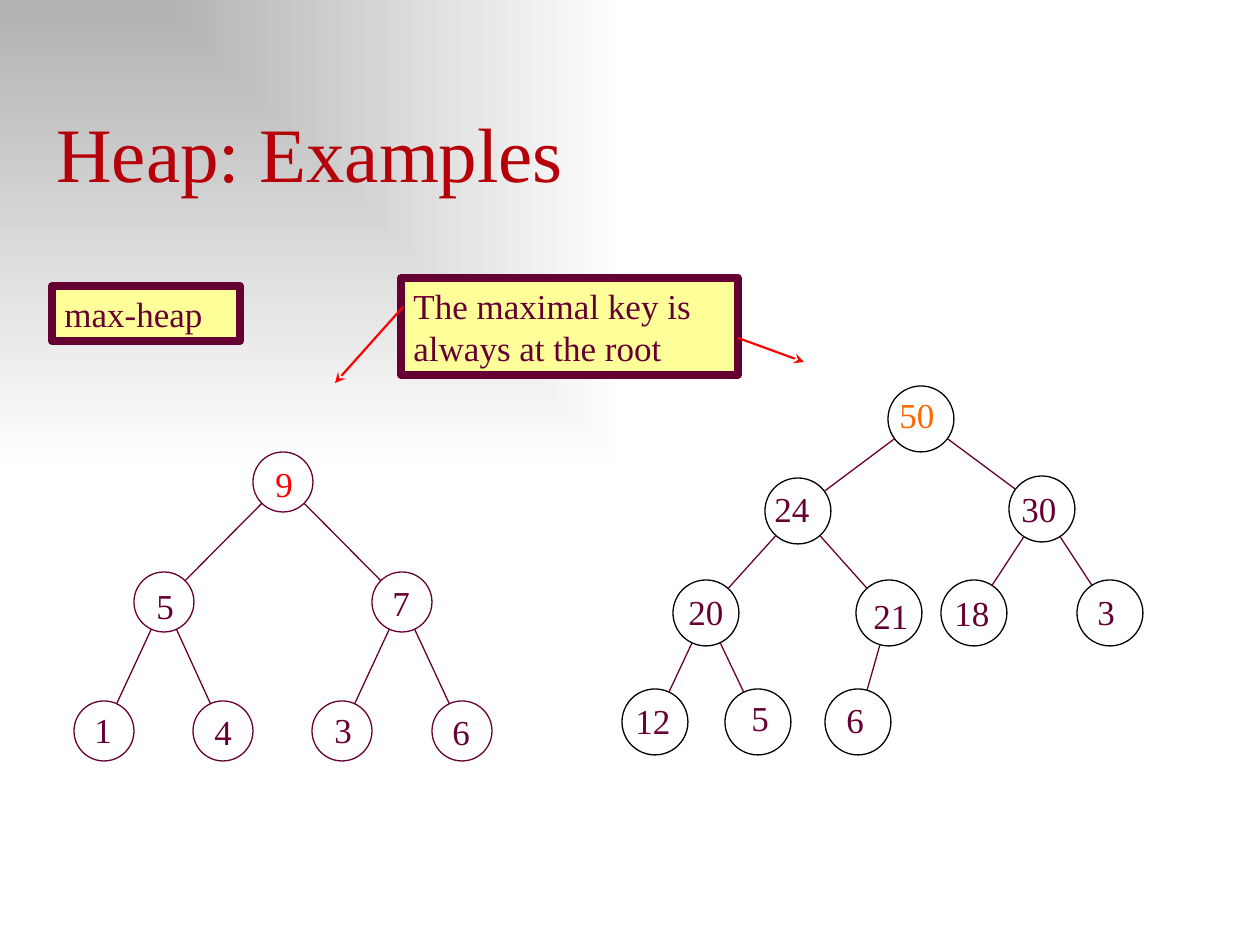
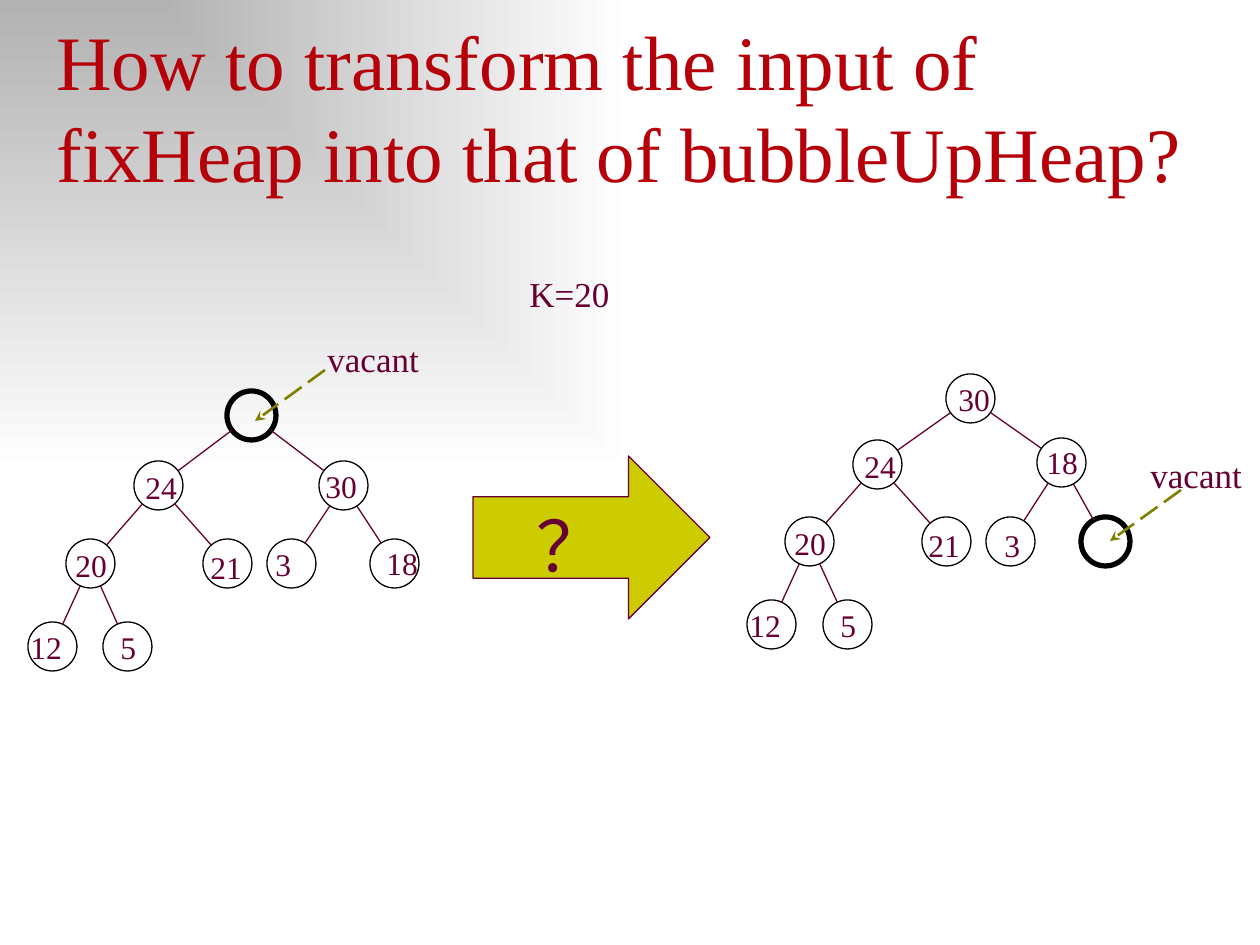
from dataclasses import dataclass
from math import hypot

from lxml.etree import SubElement
from pptx import Presentation
from pptx.dml.color import RGBColor
from pptx.enum.dml import MSO_LINE
from pptx.enum.shapes import MSO_CONNECTOR, MSO_SHAPE
from pptx.enum.text import MSO_ANCHOR, PP_ALIGN
from pptx.oxml import parse_xml
from pptx.oxml.ns import nsdecls, qn
from pptx.util import Emu, Pt


@dataclass(frozen=True)
class Theme:
    font: str = "Times New Roman"
    title: str = "B60009"
    text: str = "660033"
    black: str = "000000"
    red: str = "FF0000"
    orange: str = "FF6600"
    note: str = "FFFF99"
    olive: str = "808000"
    block_arrow: str = "CCCC00"
    shade: str = "B2B2B2"
    white: str = "FFFFFF"
    title_size: int = 44
    symbol_size: int = 40
    body_size: int = 20
    small_size: int = 18
    thin: float = 0.75
    thick: float = 3
    frame: float = 4.5


THEME = Theme()
EMU_PER_PX = 914400 / 126
TITLE_LEFT, TITLE_WIDTH, TITLE_BOTTOM = 44, 1191, 204

# Heaps list their nodes level by level, so node i hangs under node (i - 1) // 2.
# Node: key (None when vacant), circle left and top, label shift right and down.
SMALL_HEAP = dict(
    diameter=60, label_box=(69, 54), size=THEME.body_size,
    outline=THEME.text, root_color=THEME.red,
    nodes=[
        ("9", 253, 452, 10, 4),
        ("5", 134, 572, 10, 6), ("7", 372, 572, 8, 3),
        ("1", 74, 701, 8, 1), ("4", 193, 701, 9, 3),
        ("3", 312, 701, 10, 1), ("6", 432, 701, 8, 3),
    ])
LARGE_HEAP = dict(
    diameter=66, label_box=(80, 60), size=THEME.body_size,
    outline=THEME.black, root_color=THEME.orange,
    nodes=[
        ("50", 888, 386, -1, 1),
        ("24", 765, 478, -3, 3), ("30", 1009, 476, 0, 5),
        ("20", 673, 580, 3, 4), ("21", 856, 580, 5, 8),
        ("18", 941, 580, 1, 5), ("3", 1077, 580, 8, 4),
        ("12", 622, 689, 1, 4), ("5", 725, 689, 14, 1), ("6", 825, 689, 9, 3),
    ])
TRANSFORM_STYLE = dict(
    diameter=49, label_box=(83, 45), size=THEME.small_size,
    outline=THEME.black, root_color=THEME.text)
VACANT_ROOT_HEAP = dict(TRANSFORM_STYLE, nodes=[
    (None, 227, 391, 0, 0),
    ("24", 134, 461, -1, 1), ("30", 319, 461, -6, 0),
    ("20", 66, 539, -3, 1), ("21", 203, 539, -5, 3),
    ("3", 267, 539, -4, 0), ("18", 370, 539, 4, -1),
    ("12", 28, 622, -10, 0), ("5", 103, 622, 5, 0),
])
VACANT_LEAF_HEAP = dict(TRANSFORM_STYLE, nodes=[
    ("30", 946, 374, 0, 0),
    ("24", 853, 440, -1, 1), ("18", 1037, 438, -3, -1),
    ("20", 785, 517, -3, 1), ("21", 922, 517, -6, 3),
    ("3", 986, 517, 6, 3), (None, 1081, 517, 0, 0),
    ("12", 747, 600, -10, 0), ("5", 823, 600, 5, 0),
])

NOTES = [
    ("The maximal key is always at the root", (401, 278, 337, 97)),
    ("max-heap", (52, 286, 188, 55)),
]
ROOT_POINTERS = [((403, 307), (335, 383)), ((738, 338), (804, 362))]
VACANT_LABELS = [(315, 331, 122, 54), (1138, 447, 122, 54)]
VACANT_POINTERS = [((325, 370), (255, 421)), ((1181, 490), (1110, 541))]


def px(length):
    return Emu(round(length * EMU_PER_PX))


def rgb(color):
    return RGBColor.from_string(color)


def write(shape, text, size, color, anchor=MSO_ANCHOR.TOP, align=PP_ALIGN.LEFT, wrap=True):
    frame = shape.text_frame
    frame.word_wrap = wrap
    frame.vertical_anchor = anchor
    frame.text = text
    paragraph = frame.paragraphs[0]
    paragraph.alignment = align
    font = paragraph.font
    font.name, font.size = THEME.font, Pt(size)
    font.color.rgb = rgb(color)


def add_text(slide, box, text, size=THEME.body_size, color=THEME.text, **layout):
    write(slide.shapes.add_textbox(*map(px, box)), text, size, color, **layout)


def add_preset(slide, preset, box, outline, width, fill=None):
    shape = slide.shapes.add_shape(preset, *map(px, box))
    shape.shadow.inherit = False
    shape.line.color.rgb = rgb(outline)
    shape.line.width = Pt(width)
    if fill:
        shape.fill.solid()
        shape.fill.fore_color.rgb = rgb(fill)
    else:
        shape.fill.background()
    return shape


def add_line(slide, start, end, color=THEME.text, width=THEME.thin, dash=None, arrow=False):
    connector = slide.shapes.add_connector(MSO_CONNECTOR.STRAIGHT, *map(px, (*start, *end)))
    line = connector.line
    line.color.rgb = rgb(color)
    line.width = Pt(width)
    if dash:
        line.dash_style = dash
    properties = connector.element.spPr
    if arrow:
        SubElement(properties.find(qn("a:ln")), qn("a:tailEnd"), type="stealth")
    SubElement(properties, qn("a:effectLst"))


def add_edge(slide, parent, child, radius):
    """Join two circle centres, stopping at both rims."""
    dx, dy = child[0] - parent[0], child[1] - parent[1]
    share = radius / hypot(dx, dy)
    add_line(slide,
             (parent[0] + dx * share, parent[1] + dy * share),
             (child[0] - dx * share, child[1] - dy * share))


def add_heap(slide, nodes, diameter, label_box, size, outline, root_color):
    radius = diameter / 2
    centres = [(x + radius, y + radius) for _, x, y, _, _ in nodes]
    for i, (key, x, y, shift_x, shift_y) in enumerate(nodes):
        add_preset(slide, MSO_SHAPE.OVAL, (x, y, diameter, diameter), outline,
                   THEME.thick if key is None else THEME.thin)
        if i:
            add_edge(slide, centres[(i - 1) // 2], centres[i], radius)
        if key is not None:
            add_text(slide, (x + shift_x, y + shift_y, *label_box), key, size,
                     THEME.text if i else root_color)


def set_background(master):
    master.background.fill.solid()
    properties = master.element.find(".//" + qn("p:bgPr"))
    gradient = parse_xml(
        f'<a:gradFill {nsdecls("a")} rotWithShape="0"><a:gsLst>'
        f'<a:gs pos="0"><a:srgbClr val="{THEME.shade}"/></a:gs>'
        f'<a:gs pos="100000"><a:srgbClr val="{THEME.white}"/></a:gs></a:gsLst>'
        '<a:path path="rect"><a:fillToRect r="100000" b="100000"/></a:path></a:gradFill>')
    properties.replace(properties[0], gradient)


def add_titled_slide(presentation, title, height):
    slide = presentation.slides.add_slide(presentation.slide_layouts[6])
    add_text(slide, (TITLE_LEFT, TITLE_BOTTOM - height, TITLE_WIDTH, height), title,
             THEME.title_size, THEME.title, anchor=MSO_ANCHOR.BOTTOM)
    return slide


def build_examples(presentation):
    slide = add_titled_slide(presentation, "Heap: Examples", 105)
    for text, box in NOTES:
        note = add_preset(slide, MSO_SHAPE.RECTANGLE, box, THEME.text, THEME.frame, THEME.note)
        write(note, text, THEME.body_size, THEME.text)
    for start, end in ROOT_POINTERS:
        add_line(slide, start, end, THEME.red, 1.25, arrow=True)
    for heap in (SMALL_HEAP, LARGE_HEAP):
        add_heap(slide, **heap)


def build_transform(presentation):
    slide = add_titled_slide(
        presentation, "How to transform the input of fixHeap into that of bubbleUpHeap?", 199)
    add_text(slide, (517, 266, 113, 49), "K=20")
    for heap in (VACANT_ROOT_HEAP, VACANT_LEAF_HEAP):
        add_heap(slide, **heap)
    for box, (start, end) in zip(VACANT_LABELS, VACANT_POINTERS):
        add_text(slide, box, "vacant")
        add_line(slide, start, end, THEME.olive, 1.5, MSO_LINE.LONG_DASH, arrow=True)
    block_arrow = add_preset(slide, MSO_SHAPE.RIGHT_ARROW, (473, 456, 237, 163),
                             THEME.text, THEME.thin, THEME.block_arrow)
    block_arrow.adjustments[1] = 0.5
    write(block_arrow, "？", THEME.symbol_size, THEME.text, align=PP_ALIGN.CENTER, wrap=False)


def main():
    presentation = Presentation()
    presentation.slide_width, presentation.slide_height = px(1260), px(945)
    set_background(presentation.slide_master)
    build_examples(presentation)
    build_transform(presentation)
    presentation.save("out.pptx")


if __name__ == "__main__":
    main()
